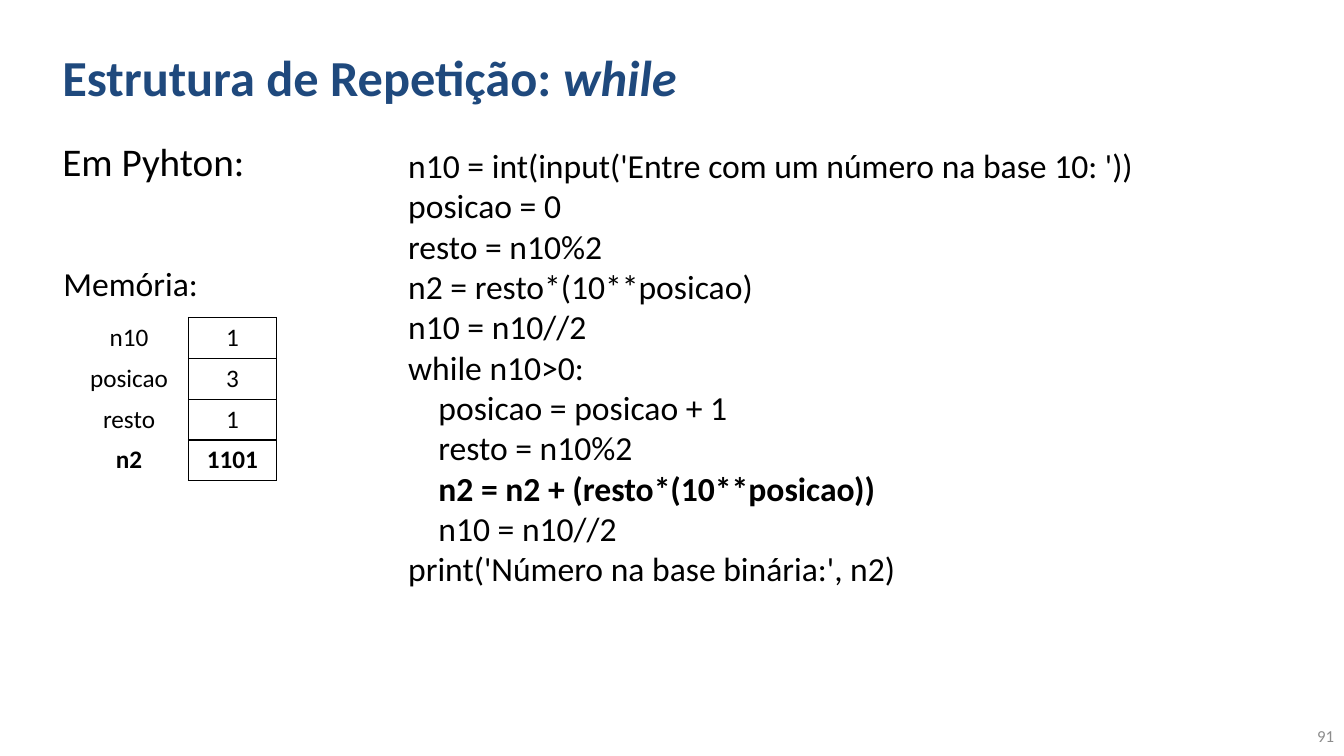
from dataclasses import dataclass

from lxml.etree import SubElement
from pptx import Presentation
from pptx.dml.color import RGBColor
from pptx.enum.text import MSO_ANCHOR, MSO_AUTO_SIZE, PP_ALIGN
from pptx.oxml.ns import qn
from pptx.slide import Slide
from pptx.table import _Cell
from pptx.text.text import TextFrame, _Paragraph
from pptx.util import Inches, Pt

FONT = "Calibri"
NAVY = RGBColor(0x1F, 0x49, 0x7D)
BLACK = RGBColor(0x00, 0x00, 0x00)
GRAY = RGBColor(0x8C, 0x8C, 0x8C)
CODE_INDENT = Inches(0.3)


@dataclass(frozen=True)
class CodeLine:
    text: str
    level: int = 0
    bold: bool = False


@dataclass(frozen=True)
class Variable:
    name: str
    value: str
    bold: bool = False


CODE = [
    CodeLine("n10 = int(input('Entre com um número na base 10: '))"),
    CodeLine("posicao = 0"),
    CodeLine("resto = n10%2"),
    CodeLine("n2 = resto*(10**posicao)"),
    CodeLine("n10 = n10//2"),
    CodeLine("while n10>0:"),
    CodeLine("posicao = posicao + 1", level=1),
    CodeLine("resto = n10%2", level=1),
    CodeLine("n2 = n2 + (resto*(10**posicao))", level=1, bold=True),
    CodeLine("n10 = n10//2", level=1),
    CodeLine("print('Número na base binária:', n2)"),
]
MEMORY = [
    Variable("n10", "1"),
    Variable("posicao", "3"),
    Variable("resto", "1"),
    Variable("n2", "1101", bold=True),
]


def write(paragraph: _Paragraph, text: str, *, size: float = 24, color: RGBColor = BLACK,
          bold: bool = False, italic: bool = False,
          align: PP_ALIGN = PP_ALIGN.LEFT) -> None:
    """Add a formatted run to the paragraph."""
    paragraph.alignment = align
    run = paragraph.add_run()
    run.text = text
    font = run.font
    font.name, font.size, font.bold, font.italic = FONT, Pt(size), bold, italic
    font.color.rgb = color


def add_text_frame(slide: Slide, left: float, top: float, width: float, height: float,
                   *, anchor: MSO_ANCHOR = MSO_ANCHOR.TOP, grow: bool = False) -> TextFrame:
    box = slide.shapes.add_textbox(Inches(left), Inches(top), Inches(width), Inches(height))
    frame = box.text_frame
    frame.word_wrap = not grow
    frame.auto_size = MSO_AUTO_SIZE.SHAPE_TO_FIT_TEXT if grow else MSO_AUTO_SIZE.NONE
    frame.vertical_anchor = anchor
    return frame


def add_code(slide: Slide, lines: list[CodeLine]) -> None:
    frame = add_text_frame(slide, 3.95, 1.39, 7.59, 4.54, grow=True)
    for index, line in enumerate(lines):
        paragraph = frame.paragraphs[0] if index == 0 else frame.add_paragraph()
        write(paragraph, line.text, bold=line.bold)
        if line.level:
            paragraph._p.get_or_add_pPr().set("marL", str(line.level * CODE_INDENT))


def set_borders(cell: _Cell, sides: str) -> None:
    properties = cell._tc.get_or_add_tcPr()
    for side in sides:
        line = SubElement(properties, qn(f"a:ln{side}"), w=str(Pt(1)))
        fill = SubElement(line, qn("a:solidFill"))
        SubElement(fill, qn("a:srgbClr"), val=str(BLACK))


def add_memory(slide: Slide, variables: list[Variable]) -> None:
    table = slide.shapes.add_table(len(variables), 2, Inches(0.69), Inches(3.15),
                                   Inches(2.05), Inches(1.62)).table
    table.first_row = table.horz_banding = False
    for column, width in zip(table.columns, (1.18, 0.87)):
        column.width = Inches(width)
    for row, variable in enumerate(variables):
        for column, (text, sides) in enumerate(((variable.name, "R"), (variable.value, "LRTB"))):
            cell = table.cell(row, column)
            set_borders(cell, sides)
            cell.fill.background()
            write(cell.text_frame.paragraphs[0], text, size=18, bold=variable.bold,
                  align=PP_ALIGN.CENTER)


def main() -> None:
    presentation = Presentation()
    presentation.slide_width, presentation.slide_height = Inches(13.33), Inches(7.5)
    slide = presentation.slides.add_slide(presentation.slide_layouts[6])

    # Heading
    title = add_text_frame(slide, 0.52, 0.13, 10.58, 1.25, anchor=MSO_ANCHOR.MIDDLE).paragraphs[0]
    write(title, "Estrutura de Repetição: ", size=36, color=NAVY, bold=True)
    write(title, "while", size=36, color=NAVY, bold=True, italic=True)
    language = add_text_frame(slide, 0.52, 1.31, 2.92, 1.23)
    write(language.paragraphs[0], "Em Pyhton:", size=28)

    # Page number
    page = add_text_frame(slide, 11, 7.1, 2.33, 0.4, anchor=MSO_ANCHOR.MIDDLE)
    write(page.paragraphs[0], "91", size=12, color=GRAY, align=PP_ALIGN.RIGHT)

    # Program and the memory it leaves
    add_code(slide, CODE)
    memory_label = add_text_frame(slide, 0.53, 2.56, 1.55, 0.5, grow=True)
    write(memory_label.paragraphs[0], "Memória:")
    add_memory(slide, MEMORY)

    presentation.save("out.pptx")


if __name__ == "__main__":
    main()
